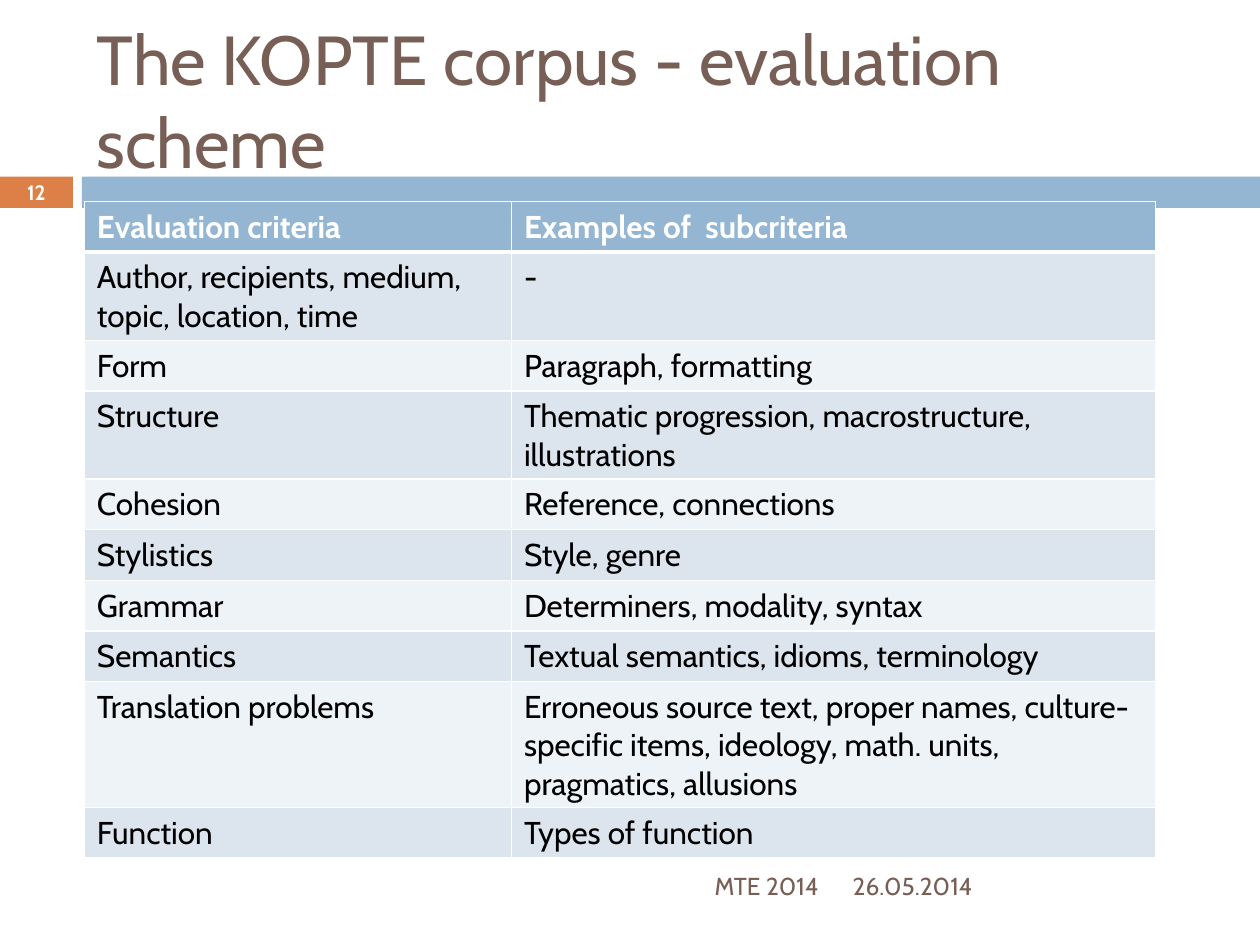
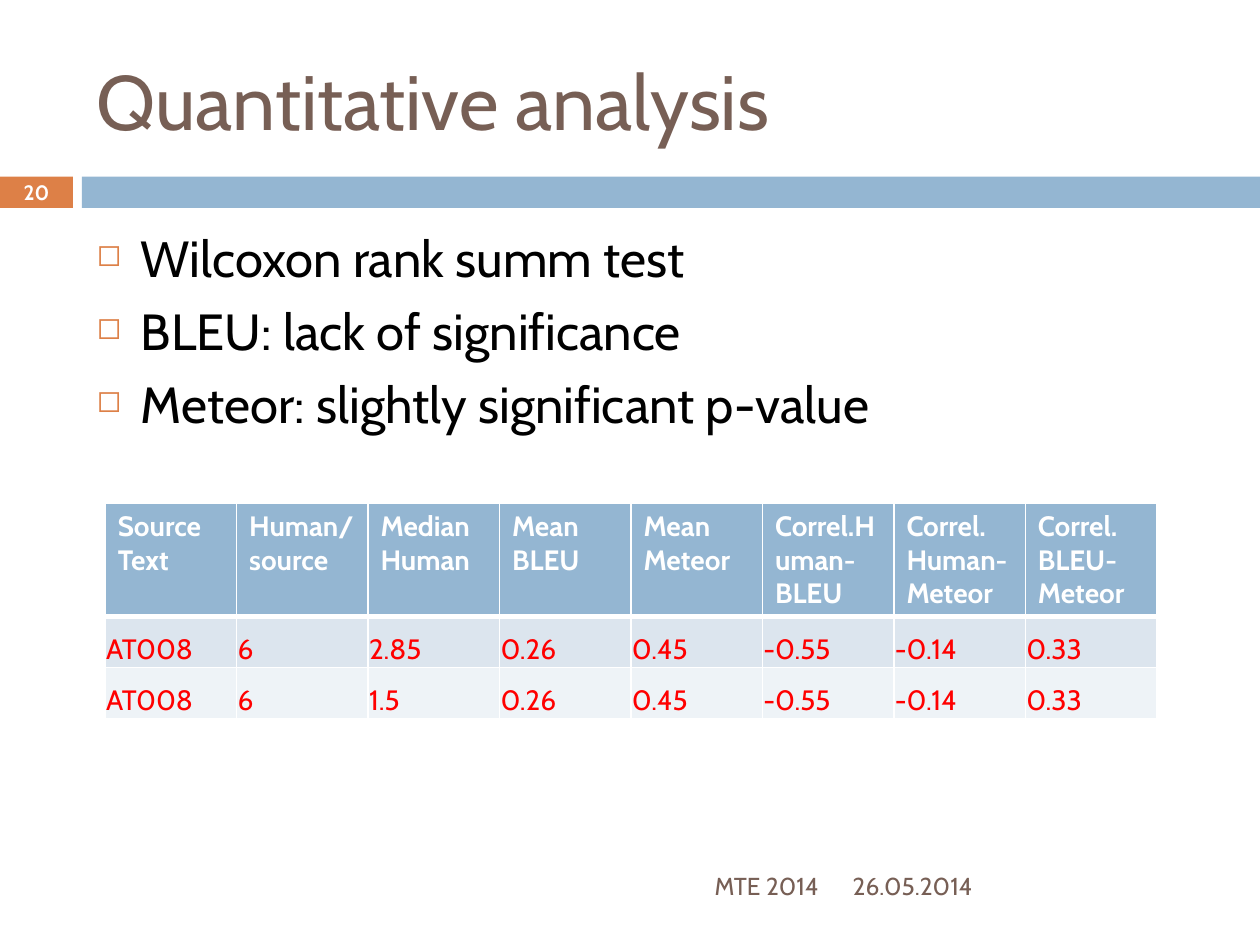
"""Build two slides on translation evaluation: the corpus scheme and its quantitative analysis."""
from dataclasses import dataclass
from typing import Optional

from lxml import etree
from pptx import Presentation
from pptx import util as u
from pptx.dml.color import RGBColor
from pptx.enum import shapes, text
from pptx.oxml import ns


@dataclass(frozen=True)
class Theme:
    font: str = "Cabin"
    brown: str = "775F55"
    orange: str = "DD8047"
    blue: str = "94B6D2"
    white: str = "FFFFFF"
    black: str = "000000"
    red: str = "FF0000"
    bands: tuple = ("DCE5EE", "EEF3F7")
    title_size: float = 44
    long_title_size: float = 39.6
    body_size: float = 29
    criteria_size: float = 18
    scores_size: float = 16
    footer_size: float = 14
    number_size: float = 11.9


THEME = Theme()


@dataclass(frozen=True)
class Box:
    left: float
    top: float
    width: float
    height: float

    def lengths(self) -> tuple:
        return tuple(u.Cm(value) for value in (self.left, self.top, self.width, self.height))


@dataclass(frozen=True)
class TextStyle:
    size: float
    color: str
    bold: bool = False
    align: text.PP_ALIGN = text.PP_ALIGN.LEFT
    anchor: text.MSO_ANCHOR = text.MSO_ANCHOR.MIDDLE
    inset: Optional[float] = None


@dataclass(frozen=True)
class TableLook:
    left: float
    top: float
    columns: tuple
    rows: tuple
    header: TextStyle
    body: TextStyle


TITLE_BOX = Box(1.7, 0.64, 22.66, 2.74)
BODY_BOX = Box(1.7, 4.45, 22.66, 12.5)
DATE_BOX = Box(16.94, 17.35, 7.42, 1.02)
EVENT_BOX = Box(1.7, 17.35, 15.06, 1.02)
NUMBER_BOX = Box(0, 3.53, 1.47, 0.69)
BANDS = ((Box(0, 3.56, 1.47, 0.63), THEME.orange), (Box(1.65, 3.56, 23.75, 0.63), THEME.blue))

FOOTER = TextStyle(THEME.footer_size, THEME.brown)
EVENT = TextStyle(THEME.footer_size, THEME.brown, align=text.PP_ALIGN.RIGHT)
NUMBER = TextStyle(THEME.number_size, THEME.white, True, text.PP_ALIGN.CENTER, inset=0)
BODY = TextStyle(THEME.body_size, THEME.black, anchor=text.MSO_ANCHOR.TOP)

CRITERIA_LOOK = TableLook(
    1.7, 4.06, (8.61, 12.98), (1.02, 1.77, 1.02, 1.77, 1.02, 1.02, 1.02, 1.02, 2.54, 1.02),
    TextStyle(THEME.criteria_size, THEME.white, True, anchor=text.MSO_ANCHOR.TOP),
    TextStyle(THEME.criteria_size, THEME.black, anchor=text.MSO_ANCHOR.TOP),
)
SCORES_LOOK = TableLook(
    2.12, 10.14, (2.65,) * 8, (2.28, 1.03, 1.03),
    TextStyle(THEME.scores_size, THEME.white, True, anchor=text.MSO_ANCHOR.TOP),
    TextStyle(THEME.scores_size, THEME.red, anchor=text.MSO_ANCHOR.BOTTOM, inset=0.02),
)

CRITERIA = (
    ("Evaluation criteria", "Examples of  subcriteria"),
    ("Author, recipients, medium, topic, location, time", "-"),
    ("Form", "Paragraph, formatting"),
    ("Structure", "Thematic progression, macrostructure, illustrations"),
    ("Cohesion", "Reference, connections"),
    ("Stylistics", "Style, genre"),
    ("Grammar", "Determiners, modality, syntax"),
    ("Semantics", "Textual semantics, idioms, terminology"),
    ("Translation problems", "Erroneous source text, proper names, culture-specific items, "
                             "ideology, math. units, pragmatics, allusions"),
    ("Function", "Types of function"),
)
SCORES = (
    ("Source Text", "Human/\nsource", "Median Human", "Mean BLEU", "Mean Meteor",
     "Correl.Human-BLEU", "Correl. Human-Meteor", "Correl. BLEU-Meteor"),
    ("AT008", "6", "2.85", "0.26", "0.45", "-0.55", "-0.14", "0.33"),
    ("AT008", "6", "1.5", "0.26", "0.45", "-0.55", "-0.14", "0.33"),
)
FINDINGS = (
    "Wilcoxon rank summ test",
    "BLEU: lack of significance",
    "Meteor: slightly significant p-value",
)


def style_text(holder, frame, style: TextStyle) -> None:
    holder.vertical_anchor = style.anchor
    if style.inset is not None:
        for side in ("left", "top", "right", "bottom"):
            setattr(holder, f"margin_{side}", u.Cm(style.inset))
    for paragraph in frame.paragraphs:
        paragraph.alignment = style.align
        for run in paragraph.runs:
            run.font.name = THEME.font
            run.font.size = u.Pt(style.size)
            run.font.bold = style.bold
            run.font.color.rgb = RGBColor.from_string(style.color)


def add_text(slide, box: Box, content: str, style: TextStyle):
    frame = slide.shapes.add_textbox(*box.lengths()).text_frame
    frame.word_wrap = True
    frame.text = content
    style_text(frame, frame, style)
    return frame


def add_band(slide, box: Box, color: str) -> None:
    shape = slide.shapes.add_shape(shapes.MSO_SHAPE.RECTANGLE, *box.lengths())
    shape.shadow.inherit = False
    shape.fill.solid()
    shape.fill.fore_color.rgb = RGBColor.from_string(color)
    shape.line.fill.background()


def add_bullets(slide, items: tuple) -> None:
    frame = add_text(slide, BODY_BOX, "\n".join(items), BODY)
    indent = u.Cm(0.89)
    for paragraph in frame.paragraphs:
        paragraph.space_before = u.Pt(7)
        properties = paragraph._p.get_or_add_pPr()
        properties.set("marL", str(indent))
        properties.set("indent", str(-indent))
        color = etree.SubElement(properties, ns.qn("a:buClr"))
        etree.SubElement(color, ns.qn("a:srgbClr"), val=THEME.orange)
        etree.SubElement(properties, ns.qn("a:buSzPct"), val="60000")
        etree.SubElement(properties, ns.qn("a:buChar"), char="◻")


def set_borders(cell, top: float, bottom: float) -> None:
    properties = cell._tc.get_or_add_tcPr()
    for position, (side, points) in enumerate((("L", 1), ("R", 1), ("T", top), ("B", bottom))):
        line = etree.Element(ns.qn(f"a:ln{side}"), w=str(u.Pt(points)))
        fill = etree.SubElement(line, ns.qn("a:solidFill"))
        etree.SubElement(fill, ns.qn("a:srgbClr"), val=THEME.white)
        properties.insert(position, line)


def add_grid(slide, look: TableLook, records: tuple) -> None:
    box = Box(look.left, look.top, sum(look.columns), sum(look.rows))
    table = slide.shapes.add_table(len(look.rows), len(look.columns), *box.lengths()).table
    table.horz_banding = False
    for column, width in zip(table.columns, look.columns):
        column.width = u.Cm(width)
    for index, (row, height, record) in enumerate(zip(table.rows, look.rows, records)):
        row.height = u.Cm(height)
        is_header = index == 0
        color = THEME.blue if is_header else THEME.bands[(index - 1) % 2]
        for cell, content in zip(row.cells, record):
            cell.text = content
            style_text(cell, cell.text_frame, look.header if is_header else look.body)
            cell.fill.solid()
            cell.fill.fore_color.rgb = RGBColor.from_string(color)
            set_borders(cell, top=3 if index == 1 else 1, bottom=3 if is_header else 1)


def add_base_slide(presentation, title: str, title_size: float, number: int):
    slide = presentation.slides.add_slide(presentation.slide_layouts[6])
    for box, color in BANDS:
        add_band(slide, box, color)
    add_text(slide, TITLE_BOX, title, TextStyle(title_size, THEME.brown))
    add_text(slide, DATE_BOX, "26.05.2014", FOOTER)
    add_text(slide, EVENT_BOX, "MTE 2014", EVENT)
    add_text(slide, NUMBER_BOX, str(number), NUMBER)
    return slide


def main() -> None:
    presentation = Presentation()
    presentation.slide_width, presentation.slide_height = u.Cm(25.4), u.Cm(19.05)

    scheme = add_base_slide(
        presentation, "The KOPTE corpus - evaluation scheme", THEME.long_title_size, 12)
    add_grid(scheme, CRITERIA_LOOK, CRITERIA)

    analysis = add_base_slide(presentation, "Quantitative analysis", THEME.title_size, 20)
    add_bullets(analysis, FINDINGS)
    add_grid(analysis, SCORES_LOOK, SCORES)

    presentation.save("out.pptx")


if __name__ == "__main__":
    main()
